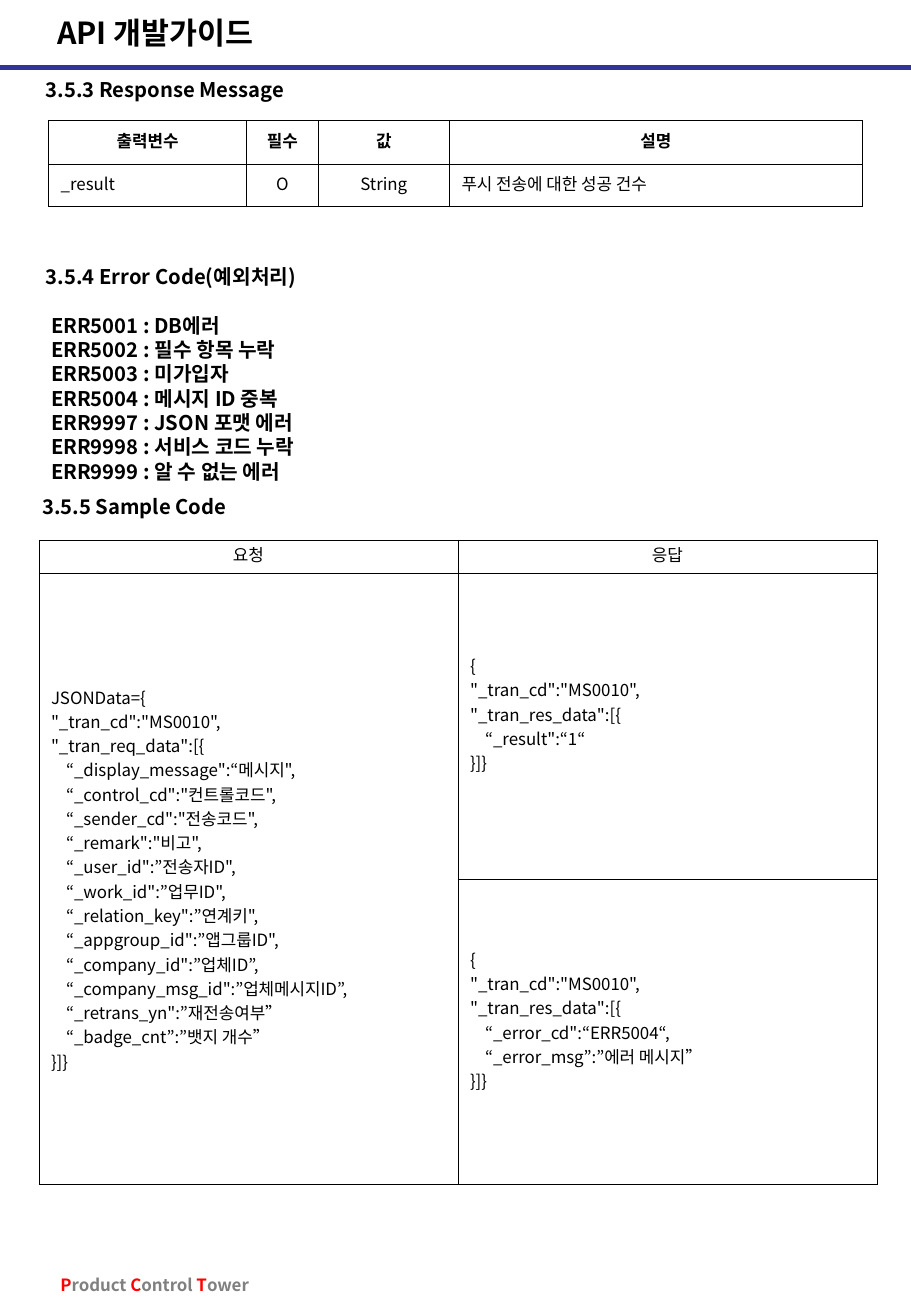
from lxml.etree import SubElement
from pptx import Presentation
from pptx.dml.color import RGBColor
from pptx.enum.shapes import MSO_CONNECTOR
from pptx.enum.text import MSO_ANCHOR, MSO_AUTO_SIZE, PP_ALIGN
from pptx.oxml.ns import qn
from pptx.util import Inches, Pt

FONT = "Noto Sans CJK KR"
BLACK = RGBColor(0, 0, 0)
NAVY = RGBColor(0x33, 0x33, 0x99)
RED = RGBColor(0xFF, 0, 0)
GRAY = RGBColor(0x80, 0x80, 0x80)
LEFT, MID = PP_ALIGN.LEFT, PP_ALIGN.CENTER

ERRORS = [
    "ERR5001 : DB에러",
    "ERR5002 : 필수 항목 누락",
    "ERR5003 : 미가입자",
    "ERR5004 : 메시지 ID 중복",
    "ERR9997 : JSON 포맷 에러",
    "ERR9998 : 서비스 코드 누락",
    "ERR9999 : 알 수 없는 에러",
]
FIELDS = [
    ["출력변수", "필수", "값", "설명"],
    ["_result", "O", "String", "푸시 전송에 대한 성공 건수"],
]
REQUEST = """JSONData={
"_tran_cd":"MS0010",
"_tran_req_data":[{
    “_display_message":“메시지",
    “_control_cd":"컨트롤코드",
    “_sender_cd":"전송코드",
    “_remark":"비고",
    “_user_id":”전송자ID",
    “_work_id":”업무ID",
    “_relation_key":”연계키",
    “_appgroup_id":”앱그룹ID",
    “_company_id":”업체ID”,
    “_company_msg_id":”업체메시지ID”,
    “_retrans_yn":”재전송여부”
    “_badge_cnt”:”뱃지 개수”
}]}"""
SUCCESS = """{
"_tran_cd":"MS0010",
"_tran_res_data":[{
    “_result":“1“
}]}"""
FAILURE = """{
"_tran_cd":"MS0010",
"_tran_res_data":[{
    “_error_cd":“ERR5004“,
    “_error_msg”:”에러 메시지”
}]}"""
FOOTER = [("P", RED), ("roduct ", GRAY), ("C", RED), ("ontrol ", GRAY),
          ("T", RED), ("ower", GRAY)]


def add_run(para, text, color, size, bold):
    run = para.add_run()
    run.text = text
    look = {"name": FONT, "size": Pt(size), "bold": bold}
    for key, value in look.items():
        setattr(run.font, key, value)
    run.font.color.rgb = color
    SubElement(run.font._element if hasattr(run.font, "_element")
               else run._r.get_or_add_rPr(), qn("a:ea"), typeface=FONT)


def write(frame, lines, size, bold=True, align=LEFT, pitch=None):
    """Write lines; each is a string or a list of (text, color) runs."""
    for num, line in enumerate(lines):
        para = frame.paragraphs[0] if num == 0 else frame.add_paragraph()
        props = para._p.get_or_add_pPr()
        props.set("marL", "0")
        props.set("indent", "0")
        SubElement(props, qn("a:buNone"))
        form = {"alignment": align, "space_before": Pt(0),
                "line_spacing": Pt(pitch or size * 1.2)}
        for key, value in form.items():
            setattr(para, key, value)
        runs = [(line, BLACK)] if isinstance(line, str) else line
        for text, color in runs:
            add_run(para, text, color, size, bold)


def place(shape, left, top, width, height, wrap=True):
    spot = {"left": left, "top": top, "width": width, "height": height}
    for key, value in spot.items():
        setattr(shape, key, Inches(value))
    form = {"word_wrap": wrap, "auto_size": MSO_AUTO_SIZE.NONE,
            "vertical_anchor": MSO_ANCHOR.TOP}
    for key, value in form.items():
        setattr(shape.text_frame, key, value)
    return shape.text_frame


def add_label(slide, left, top, width, height, line, size, wrap=True):
    box = slide.shapes.add_textbox(0, 0, 0, 0)
    write(place(box, left, top, width, height, wrap), [line], size)


def add_rule(slide, top):
    rule = slide.shapes.add_connector(
        MSO_CONNECTOR.STRAIGHT, 0, Inches(top), Inches(7.5), Inches(top))
    rule.line.color.rgb = NAVY
    rule.line.width = Pt(3)
    SubElement(rule._element.spPr, qn("a:effectLst"))


def add_grid(slide, left, top, cols, rows):
    """Add a plain table with thin black borders."""
    grid = slide.shapes.add_table(
        len(rows), len(cols), Inches(left), Inches(top),
        Inches(sum(cols)), Inches(sum(rows))).table
    grid.first_row = grid.horz_banding = False
    for col, width in zip(grid.columns, cols):
        col.width = Inches(width)
    for row, height in zip(grid.rows, rows):
        row.height = Inches(height)
    for cell in grid.iter_cells():
        cell.vertical_anchor = MSO_ANCHOR.MIDDLE
        props = cell._tc.get_or_add_tcPr()
        for side in ("a:lnL", "a:lnR", "a:lnT", "a:lnB"):
            edge = SubElement(props, qn(side), w=str(Pt(0.45)))
            fill = SubElement(edge, qn("a:solidFill"))
            SubElement(fill, qn("a:srgbClr"), val=str(BLACK))
        cell.fill.background()
    return grid


def add_fields(slide):
    grid = add_grid(slide, 0.4, 0.99, [1.63, 0.59, 1.08, 3.4], [0.36, 0.35])
    for row, texts in enumerate(FIELDS):
        for col, text in enumerate(texts):
            head = row == 0
            align = MID if head or col in (1, 2) else LEFT
            write(grid.cell(row, col).text_frame, [text], 10, head, align)


def add_sample(slide):
    grid = add_grid(slide, 0.32, 4.45, [3.45, 3.45], [0.27, 2.52, 2.52])
    grid.cell(1, 0).merge(grid.cell(2, 0))
    for col, text in enumerate(["요청", "응답"]):
        write(grid.cell(0, col).text_frame, [text], 10, False, MID)
    codes = {(1, 0): REQUEST, (1, 1): SUCCESS, (2, 1): FAILURE}
    for (row, col), code in codes.items():
        cell = grid.cell(row, col)
        write(cell.text_frame, code.split("\n"), 10, False, pitch=14.4)
        if col == 1:
            cell.margin_bottom = Inches(0.25)


def main():
    deck = Presentation()
    deck.slide_width, deck.slide_height = Inches(7.5), Inches(10.84)
    slide = deck.slides.add_slide(deck.slide_layouts[1])
    title, body = slide.placeholders
    add_rule(slide, 0.56)
    write(place(title, 0.37, 0.07, 6.86, 0.4), ["API 개발가이드"], 18)
    add_label(slide, 0.28, 0.59, 6.94, 0.3, "3.5.3 Response Message", 12)
    add_fields(slide)
    add_label(slide, 0.28, 2.13, 6.94, 0.3, "3.5.4 Error Code(예외처리)", 12)
    write(place(body, 0.32, 2.53, 6.9, 1.5), ERRORS, 12)
    add_label(slide, 0.25, 4.02, 6.9, 0.3, "3.5.5 Sample Code", 12)
    add_sample(slide)
    add_label(slide, 0.4, 10.45, 1.76, 0.27, FOOTER, 10, wrap=False)
    deck.save("out.pptx")


if __name__ == "__main__":
    main()
